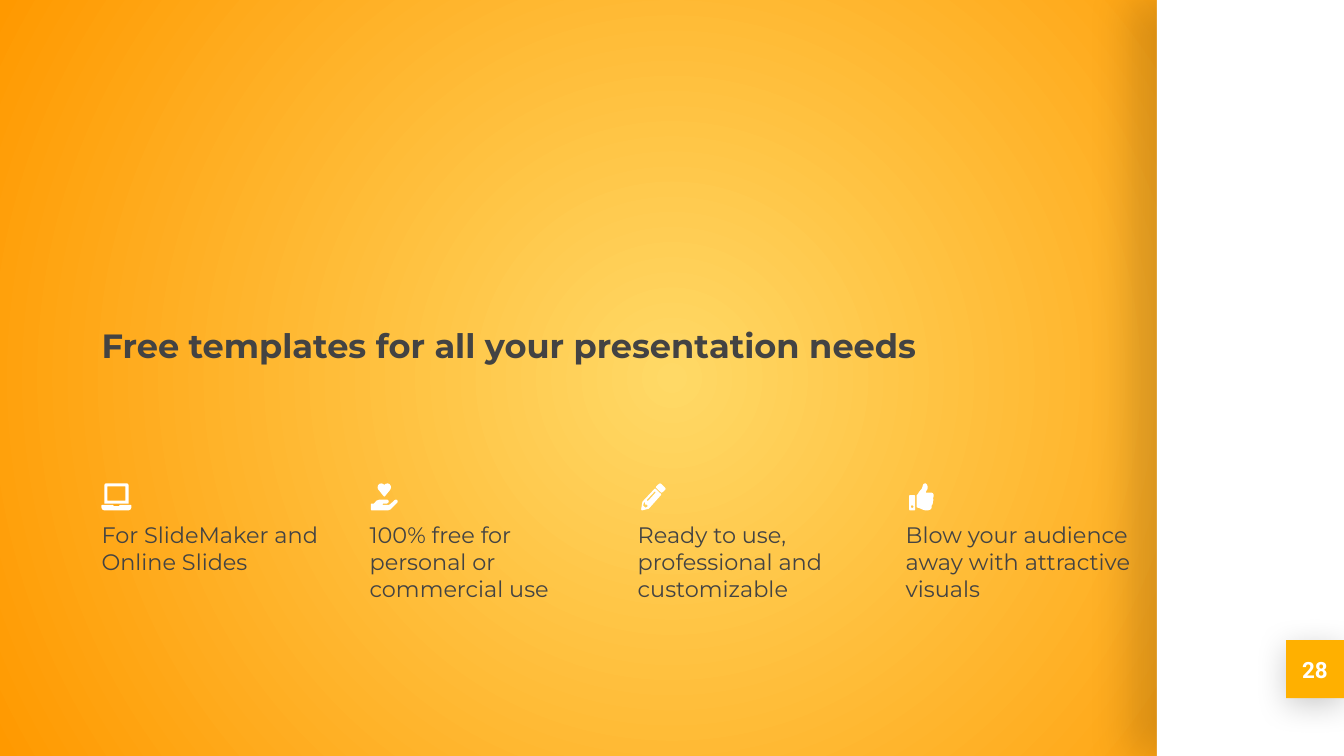
"""Build the template promotion slide with four icon-led benefits."""
import pptx
import pptx.dml.color
import pptx.enum.shapes
import pptx.enum.text
import pptx.oxml
import pptx.oxml.ns
import pptx.util

Pt = pptx.util.Pt
RGBColor = pptx.dml.color.RGBColor
MSO_ANCHOR = pptx.enum.text.MSO_ANCHOR
PP_ALIGN = pptx.enum.text.PP_ALIGN

WHITE = RGBColor(0xFF, 0xFF, 0xFF)
AMBER = RGBColor(0xFF, 0xB0, 0x00)
GREY = RGBColor(0x43, 0x43, 0x43)
GLOW = RGBColor(0xFF, 0xD9, 0x66)
ORANGE = RGBColor(0xFF, 0x99, 0x00)

HEADLINE = "Free templates for all your presentation needs"
PAGE_NUMBER = "28"

LAPTOP = [
    [(32, 16), (128, 16), (128, 92), (32, 92)],
    [(24, 0), (136, 0), (142, 2), (145, 9), (145, 108), (16, 108), (16, 9), (18, 2)],
    [(3, 115), (62, 115), (66, 122), (94, 122), (98, 115), (157, 115), (160, 118),
     (160, 130), (156, 140), (147, 144), (13, 144), (4, 140), (0, 130), (0, 118)],
]
GIVING_HAND = [
    [(79, 8), (71, 2), (62, 0), (52, 3), (45, 12), (43, 22), (46, 32), (52, 39), (75, 68),
     (79, 71), (83, 68), (107, 39), (112, 32), (115, 22), (113, 12), (106, 3), (97, 0), (87, 2)],
    [(60, 87), (48, 88), (37, 93), (23, 108), (10, 108), (7, 111), (7, 140), (10, 144),
     (100, 144), (112, 140), (148, 104), (151, 97), (148, 89), (141, 87), (134, 90), (114, 108),
     (105, 115), (72, 115), (68, 112), (72, 108), (92, 108), (99, 105), (103, 98), (100, 90),
     (94, 87)],
]
PENCIL = [
    [(121, 0), (115, 2), (100, 16), (98, 22), (127, 50), (131, 50), (148, 34), (150, 30),
     (148, 24), (127, 3)],
    [(92, 43), (97, 46), (95, 51), (57, 93), (51, 94), (50, 88)],
    [(40, 101), (40, 113), (53, 115), (53, 126), (41, 130), (30, 119), (34, 103)],
    [(91, 29), (26, 98), (19, 138), (22, 144), (26, 144), (60, 136), (126, 62), (126, 57),
     (95, 28)],
]
THUMB_UP = [
    [(35, 117), (41, 120), (42, 126), (39, 131), (35, 132), (30, 130), (28, 124), (30, 119)],
    [(22, 63), (48, 63), (51, 66), (51, 141), (48, 144), (22, 144), (19, 141), (19, 66)],
    [(104, 0), (97, 2), (93, 8), (89, 22), (85, 31), (74, 43), (64, 59), (59, 64), (59, 127),
     (64, 130), (75, 133), (92, 141), (104, 144), (122, 144), (133, 140), (139, 132),
     (139, 119), (145, 111), (146, 99), (149, 90), (147, 80), (150, 68), (150, 60), (145, 52),
     (137, 49), (108, 49), (110, 42), (117, 30), (118, 18), (114, 6), (108, 0)],
]
BENEFITS = [
    (LAPTOP, "For SlideMaker and Online Slides"),
    (GIVING_HAND, "100% free for personal or commercial use"),
    (PENCIL, "Ready to use, professional and customizable"),
    (THUMB_UP, "Blow your audience away with attractive visuals"),
]

SLIDE_WIDTH, SLIDE_HEIGHT = 720, 405
PANEL_LEFT = 619.8
BADGE_TOP, BADGE_SIDE = 343, 31
MARGIN, COLUMN_PITCH, COLUMN_WIDTH = 54.4, 143.6, 120.5
HEADLINE_TOP, ICON_TOP, CAPTION_TOP = 174.3, 259, 279.4
ICON_UNIT = Pt(0.1)


def glow_background(slide):
    fill = slide.background.fill
    fill.gradient()
    for stop, color in zip(fill.gradient_stops, (GLOW, ORANGE)):
        stop.color.rgb = color
    linear = slide.background._cSld.find(".//" + pptx.oxml.ns.qn("a:lin"))
    radial = pptx.oxml.parse_xml(
        f'<a:path {pptx.oxml.ns.nsdecls("a")} path="circle">'
        '<a:fillToRect l="50000" t="50000" r="50000" b="50000"/></a:path>')
    linear.getparent().replace(linear, radial)


def paint(shape, color):
    shape.shadow.inherit = False
    shape.fill.solid()
    shape.fill.fore_color.rgb = color
    shape.line.fill.background()


def add_block(slide, left, top, width, height, color, blur, distance, angle, opacity):
    block = slide.shapes.add_shape(
        pptx.enum.shapes.MSO_SHAPE.RECTANGLE, Pt(left), Pt(top), Pt(width), Pt(height))
    paint(block, color)
    effects = block._element.spPr.find(pptx.oxml.ns.qn("a:effectLst"))
    effects.append(pptx.oxml.parse_xml(
        f'<a:outerShdw {pptx.oxml.ns.nsdecls("a")} blurRad="{Pt(blur)}" dist="{Pt(distance)}"'
        f' dir="{angle * 60000}" algn="bl" rotWithShape="0"><a:srgbClr val="000000">'
        f'<a:alpha val="{opacity * 1000}"/></a:srgbClr></a:outerShdw>'))
    return block


def write(shape, text, size, font="Montserrat", color=GREY, bold=False,
          align=PP_ALIGN.LEFT, anchor=MSO_ANCHOR.TOP, inset=0):
    frame = shape.text_frame
    frame.word_wrap = True
    frame.auto_size = pptx.enum.text.MSO_AUTO_SIZE.NONE
    frame.vertical_anchor = anchor
    frame.margin_left = frame.margin_right = frame.margin_top = frame.margin_bottom = Pt(inset)
    paragraph = frame.paragraphs[0]
    paragraph.text = text
    paragraph.alignment = align
    paragraph.font.name = font
    paragraph.font.size = Pt(size)
    paragraph.font.bold = bold
    paragraph.font.color.rgb = color


def add_icon(slide, contours, left, top):
    builder = slide.shapes.build_freeform(*contours[0][0], scale=ICON_UNIT)
    for index, contour in enumerate(contours):
        if index:
            builder.move_to(*contour[0])
        builder.add_line_segments(contour[1:], close=True)
    paint(builder.convert_to_shape(Pt(left), Pt(top)), WHITE)


def main():
    deck = pptx.Presentation()
    deck.slide_width, deck.slide_height = Pt(SLIDE_WIDTH), Pt(SLIDE_HEIGHT)
    slide = deck.slides.add_slide(deck.slide_layouts[5])
    glow_background(slide)

    add_block(slide, PANEL_LEFT, 0, SLIDE_WIDTH - PANEL_LEFT, SLIDE_HEIGHT, WHITE,
              blur=22.5, distance=15, angle=180, opacity=15)
    badge = add_block(slide, SLIDE_WIDTH - BADGE_SIDE, BADGE_TOP, BADGE_SIDE, BADGE_SIDE, AMBER,
                      blur=16.9, distance=3.8, angle=90, opacity=20)
    write(badge, PAGE_NUMBER, 12, "Roboto", WHITE, True, PP_ALIGN.CENTER, MSO_ANCHOR.MIDDLE, 7.2)

    headline = slide.shapes.title
    headline.left, headline.top = Pt(MARGIN), Pt(HEADLINE_TOP)
    headline.width, headline.height = Pt(546), Pt(21)
    write(headline, HEADLINE, 18, bold=True)

    for column, (icon, benefit) in enumerate(BENEFITS):
        left = MARGIN + column * COLUMN_PITCH
        add_icon(slide, icon, left, ICON_TOP)
        caption = slide.shapes.add_textbox(Pt(left), Pt(CAPTION_TOP), Pt(COLUMN_WIDTH), Pt(50.4))
        write(caption, benefit, 12)

    deck.save("out.pptx")


if __name__ == "__main__":
    main()
